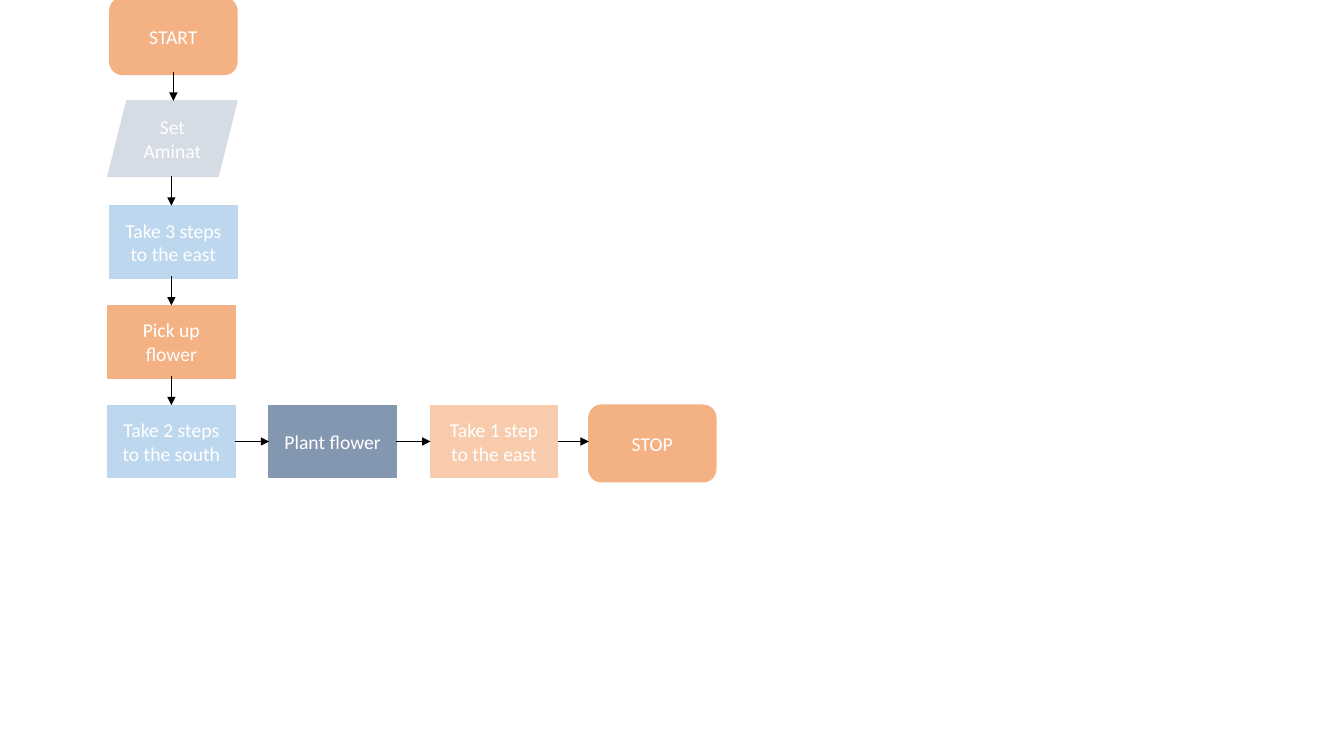
from lxml import etree
from pptx import Presentation
from pptx.dml.color import RGBColor
from pptx.enum.shapes import MSO_CONNECTOR, MSO_SHAPE
from pptx.enum.text import MSO_ANCHOR, PP_ALIGN
from pptx.oxml.ns import qn
from pptx.util import Pt

PX = 9144  # 100 px to the inch
RECT = MSO_SHAPE.RECTANGLE
ROUNDED = MSO_SHAPE.ROUNDED_RECTANGLE
PARALLELOGRAM = MSO_SHAPE.PARALLELOGRAM
STRAIGHT = MSO_CONNECTOR.STRAIGHT
MIDDLE = MSO_ANCHOR.MIDDLE
CENTER = PP_ALIGN.CENTER
TOP, LEFT, RIGHT = 0, 1, 3

COLORS = {
    "orange": "F4B183",
    "peach": "F8CBAD",
    "blue": "BDD7EE",
    "slate": "8497B0",
    "grey": "D6DCE5",
    "white": "FFFFFF",
    "black": "000000",
}
LABEL_FORMAT = {"name": "Calibri", "size": Pt(14)}

STEP_W, STEP_H, TERMINAL_H = 126, 72, 76
FIRST_COLUMN, COLUMN_STEP = 107, 160
ROW_STEP, BOTTOM_ROW = 99, 402
DOWN_X = FIRST_COLUMN + STEP_W // 2
ACROSS_Y = BOTTOM_ROW + STEP_H // 2


def rgb(color):
    return RGBColor.from_string(COLORS[color])


def add_step(slide, label, color, left, top, width=STEP_W, height=STEP_H, kind=RECT):
    step = slide.shapes.add_shape(
        kind, left * PX, top * PX, width * PX, height * PX)
    step.shadow.inherit = False
    step.fill.solid()
    step.fill.fore_color.rgb = rgb(color)
    step.line.color.rgb = rgb(color)
    step.line.width = Pt(1)
    frame = step.text_frame
    frame.word_wrap = True
    frame.vertical_anchor = MIDDLE
    paragraph = frame.paragraphs[0]
    paragraph.alignment = CENTER
    run = paragraph.add_run()
    run.text = label
    for attribute, value in LABEL_FORMAT.items():
        setattr(run.font, attribute, value)
    run.font.color.rgb = rgb("white")
    return step


def add_arrow(slide, start, end, source=None, target=None):
    """Draw an arrow; source and target are optional (step, side) joins."""
    arrow = slide.shapes.add_connector(
        STRAIGHT, *(value * PX for value in (*start, *end)))
    if source:
        arrow.begin_connect(*source)
    if target:
        arrow.end_connect(*target)
    arrow.line.color.rgb = rgb("black")
    arrow.line.width = Pt(0.5)
    etree.SubElement(arrow.line._get_or_add_ln(), qn("a:tailEnd"), type="triangle")
    etree.SubElement(arrow._element.spPr, qn("a:effectLst"))


def main():
    presentation = Presentation()
    presentation.slide_width = 1333 * PX
    presentation.slide_height = 750 * PX
    slide = presentation.slides.add_slide(presentation.slide_layouts[6])

    add_step(slide, "START", "orange", 109, -2, height=TERMINAL_H, kind=ROUNDED)
    add_step(slide, "Set Aminat", "grey", FIRST_COLUMN, 100, 128, 75, PARALLELOGRAM)
    add_step(slide, "Take 3 steps to the east", "blue", 109, BOTTOM_ROW - 2 * ROW_STEP)
    pick_up = add_step(slide, "Pick up flower", "orange",
                       FIRST_COLUMN, BOTTOM_ROW - ROW_STEP)
    bottom_steps = [
        add_step(slide, label, color, FIRST_COLUMN + column * COLUMN_STEP, BOTTOM_ROW)
        for column, (label, color) in enumerate([
            ("Take 2 steps to the south", "blue"),
            ("Plant flower", "slate"),
            ("Take 1 step to the east", "peach"),
        ])
    ]
    south, _, last_step = bottom_steps
    add_step(slide, "STOP", "orange", 584, BOTTOM_ROW, height=TERMINAL_H, kind=ROUNDED)

    add_arrow(slide, (172, 71), (172, 100))
    for row, target in enumerate([None, (pick_up, TOP), (south, TOP)]):
        tip_y = BOTTOM_ROW - (2 - row) * ROW_STEP
        add_arrow(slide, (DOWN_X, tip_y - 29), (DOWN_X, tip_y), target=target)

    for column, (step, following) in enumerate(zip(bottom_steps, bottom_steps[1:])):
        left = FIRST_COLUMN + column * COLUMN_STEP
        add_arrow(slide, (left + STEP_W, ACROSS_Y), (left + COLUMN_STEP, ACROSS_Y),
                  (step, RIGHT), (following, LEFT))
    add_arrow(slide, (553, ACROSS_Y), (584, ACROSS_Y), source=(last_step, RIGHT))

    presentation.save("out.pptx")


if __name__ == "__main__":
    main()
